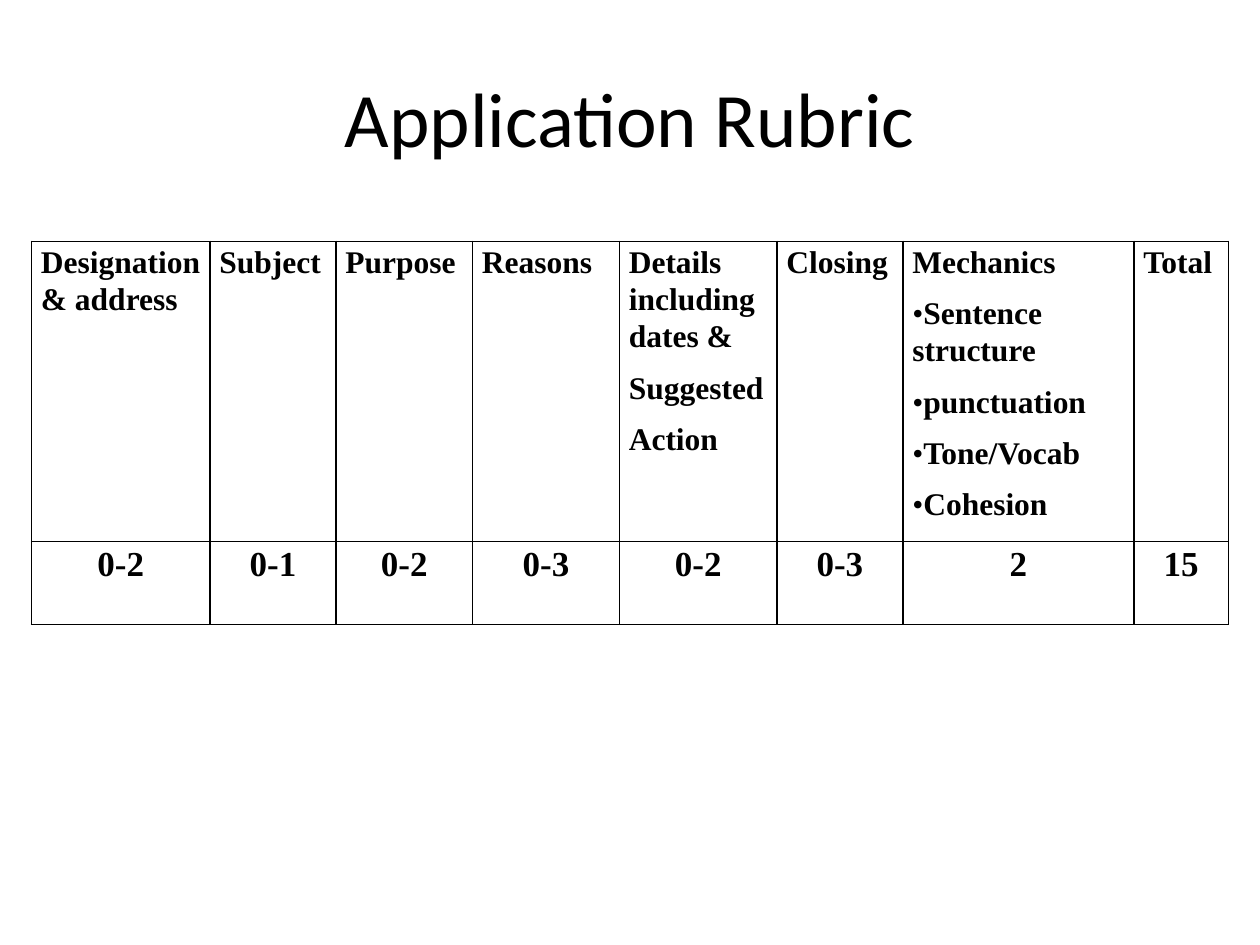
import pptx
import pptx.dml.color
import pptx.enum.text
import pptx.oxml
import pptx.oxml.ns
import pptx.util
from pptx.util import Inches

BLACK = pptx.dml.color.RGBColor(0, 0, 0)
WHITE = pptx.dml.color.RGBColor(255, 255, 255)
CENTER = pptx.enum.text.PP_ALIGN.CENTER
NS = pptx.oxml.ns.nsdecls("a")
TABLE_FONT = "Times New Roman"
GRID = 1 / 12  # inches; the table is set out in twelfths

# Column width in grid units, heading paragraphs, marks
CRITERIA = [
    (17, ["Designation & address"], "0-2"),
    (12, ["Subject"], "0-1"),
    (13, ["Purpose"], "0-2"),
    (14, ["Reasons"], "0-3"),
    (15, ["Details including dates &", "Suggested", "Action"], "0-2"),
    (12, ["Closing"], "0-3"),
    (22, ["Mechanics", "•Sentence structure", "•punctuation",
          "•Tone/Vocab", "•Cohesion"], "2"),
    (9, ["Total"], "15"),
]
ROW_HEIGHTS = [2.38, 0.66]


def add_bullet(paragraph):
    properties = paragraph._p.get_or_add_pPr()
    properties.set("marL", "0")
    properties.set("indent", str(Inches(-0.12)))
    for xml in (f'<a:buClr {NS}><a:srgbClr val="{BLACK}"/></a:buClr>',
                f'<a:buFont {NS} typeface="{TABLE_FONT}"/>',
                f'<a:buChar {NS} char="•"/>'):
        properties.append(pptx.oxml.parse_xml(xml))


def fill_cell(cell, lines, size, alignment=None):
    cell.margin_left = cell.margin_right = Inches(0.9 * GRID)
    cell.margin_top, cell.margin_bottom = Inches(0.01), 0
    for side in ("lnL", "lnR", "lnT", "lnB"):
        cell._tc.get_or_add_tcPr().append(pptx.oxml.parse_xml(
            f'<a:{side} {NS} w="{pptx.util.Pt(1)}"><a:solidFill>'
            f'<a:srgbClr val="{BLACK}"/></a:solidFill></a:{side}>'))
    cell.fill.solid()
    cell.fill.fore_color.rgb = WHITE
    for index, line in enumerate(lines):
        frame = cell.text_frame
        paragraph = frame.add_paragraph() if index else frame.paragraphs[0]
        paragraph.text = line.lstrip("•")
        paragraph.alignment = alignment
        paragraph.line_spacing = 1.07
        if index:
            paragraph.space_before = pptx.util.Pt(8)
        if line.startswith("•"):
            add_bullet(paragraph)
        paragraph.font.name = TABLE_FONT
        paragraph.font.size = pptx.util.Pt(size)
        paragraph.font.bold = True
        paragraph.font.color.rgb = BLACK


presentation = pptx.Presentation()
presentation.slide_width, presentation.slide_height = Inches(10), Inches(7.5)
slide = presentation.slides.add_slide(presentation.slide_layouts[5])

# Title
title = slide.shapes.title
title.left, title.top = Inches(0.5), Inches(0.3)
title.width, title.height = Inches(9), Inches(1.25)
title.text_frame.text = "Application Rubric"
title.text_frame.vertical_anchor = pptx.enum.text.MSO_ANCHOR.MIDDLE
heading = title.text_frame.paragraphs[0]
heading.alignment = CENTER
heading.font.name = "Calibri"
heading.font.size = pptx.util.Pt(44)
heading.font.color.rgb = BLACK

# Rubric table
rubric = slide.shapes.add_table(
    len(ROW_HEIGHTS), len(CRITERIA), Inches(3 * GRID), Inches(23 * GRID),
    Inches(GRID * sum(width for width, _, _ in CRITERIA)),
    Inches(sum(ROW_HEIGHTS))).table
rubric.horz_banding = False
for row, height in zip(rubric.rows, ROW_HEIGHTS):
    row.height = Inches(height)
for column, (width, criterion, marks) in enumerate(CRITERIA):
    rubric.columns[column].width = Inches(width * GRID)
    fill_cell(rubric.cell(0, column), criterion, 18)
    fill_cell(rubric.cell(1, column), [marks], 20, CENTER)

presentation.save("out.pptx")
